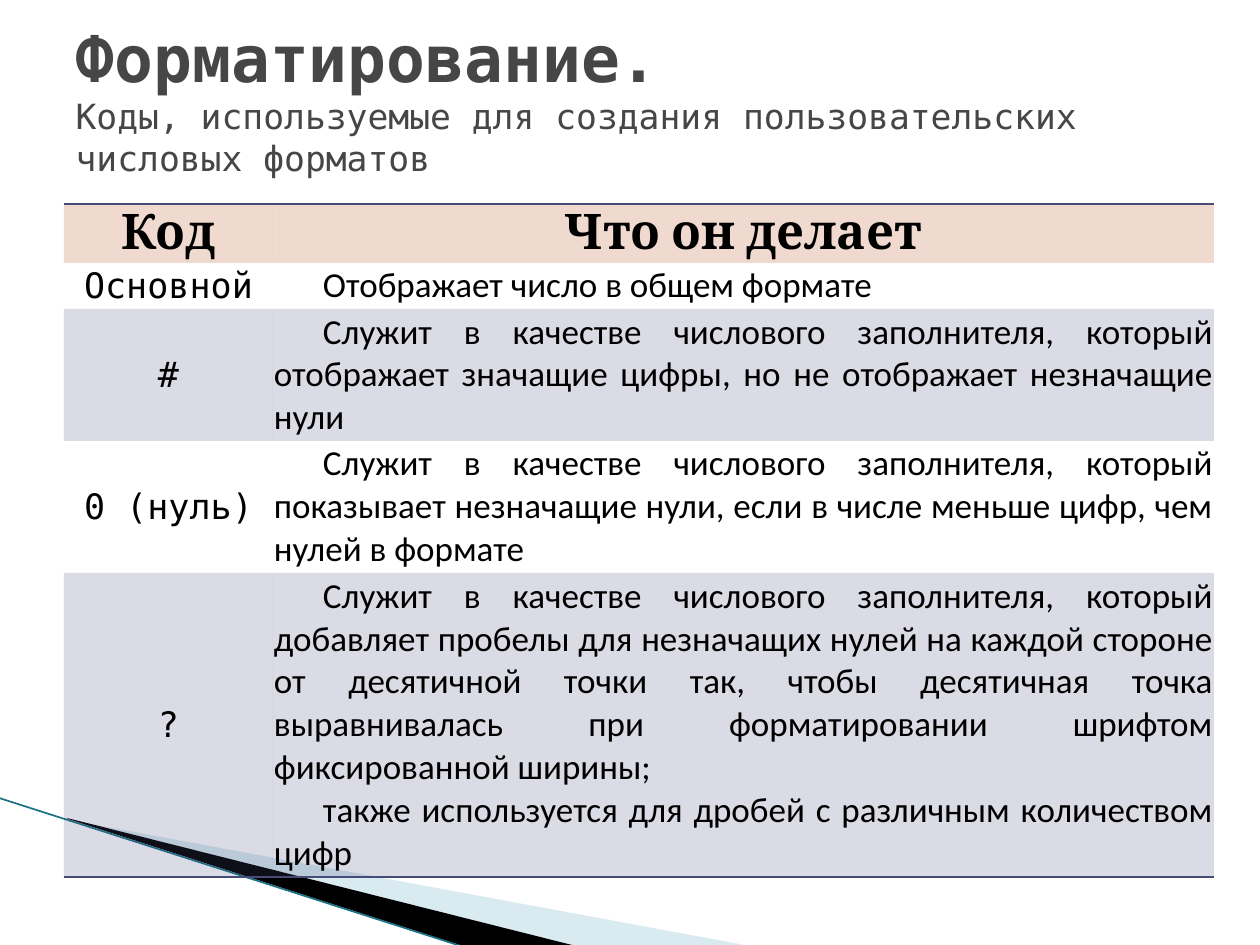
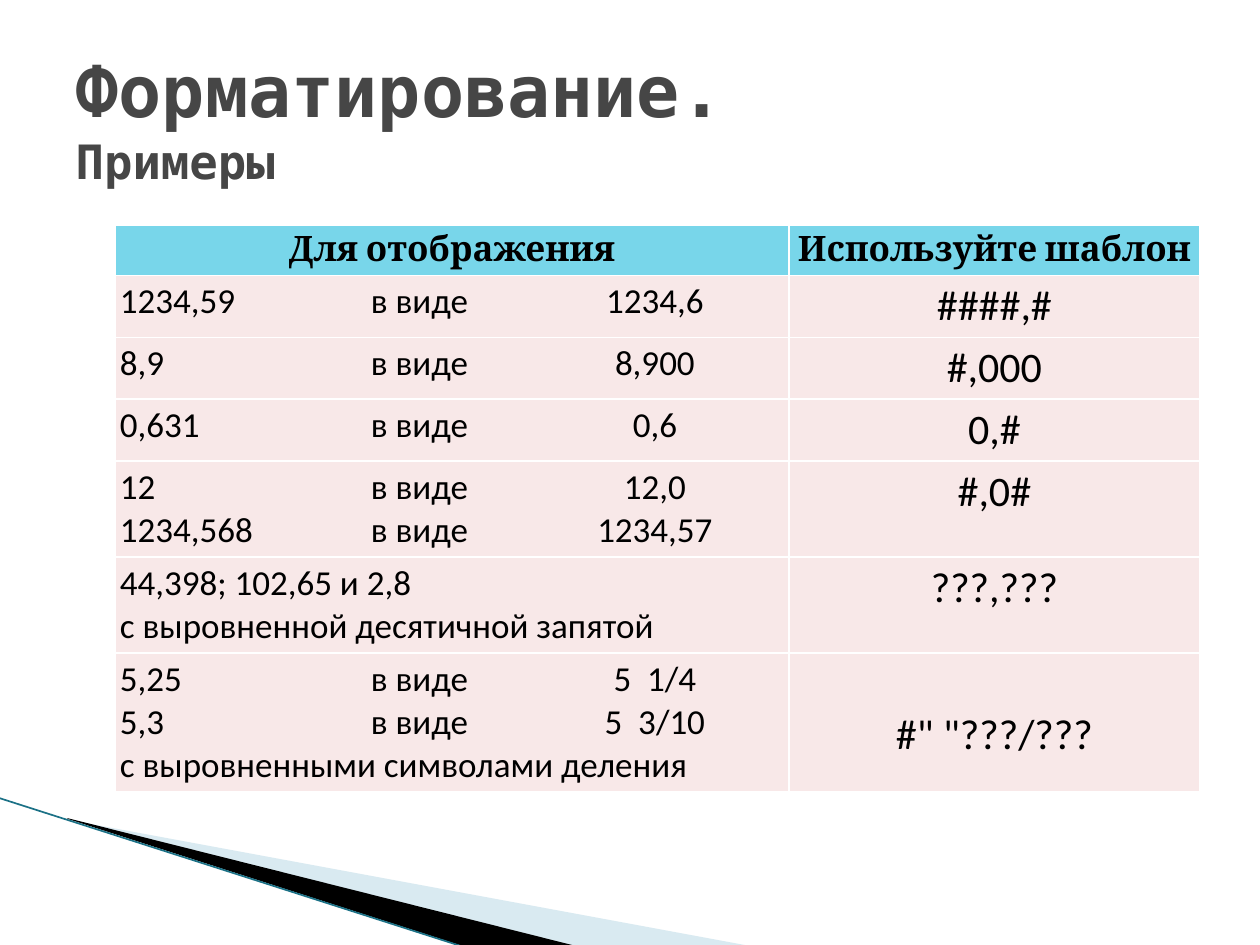
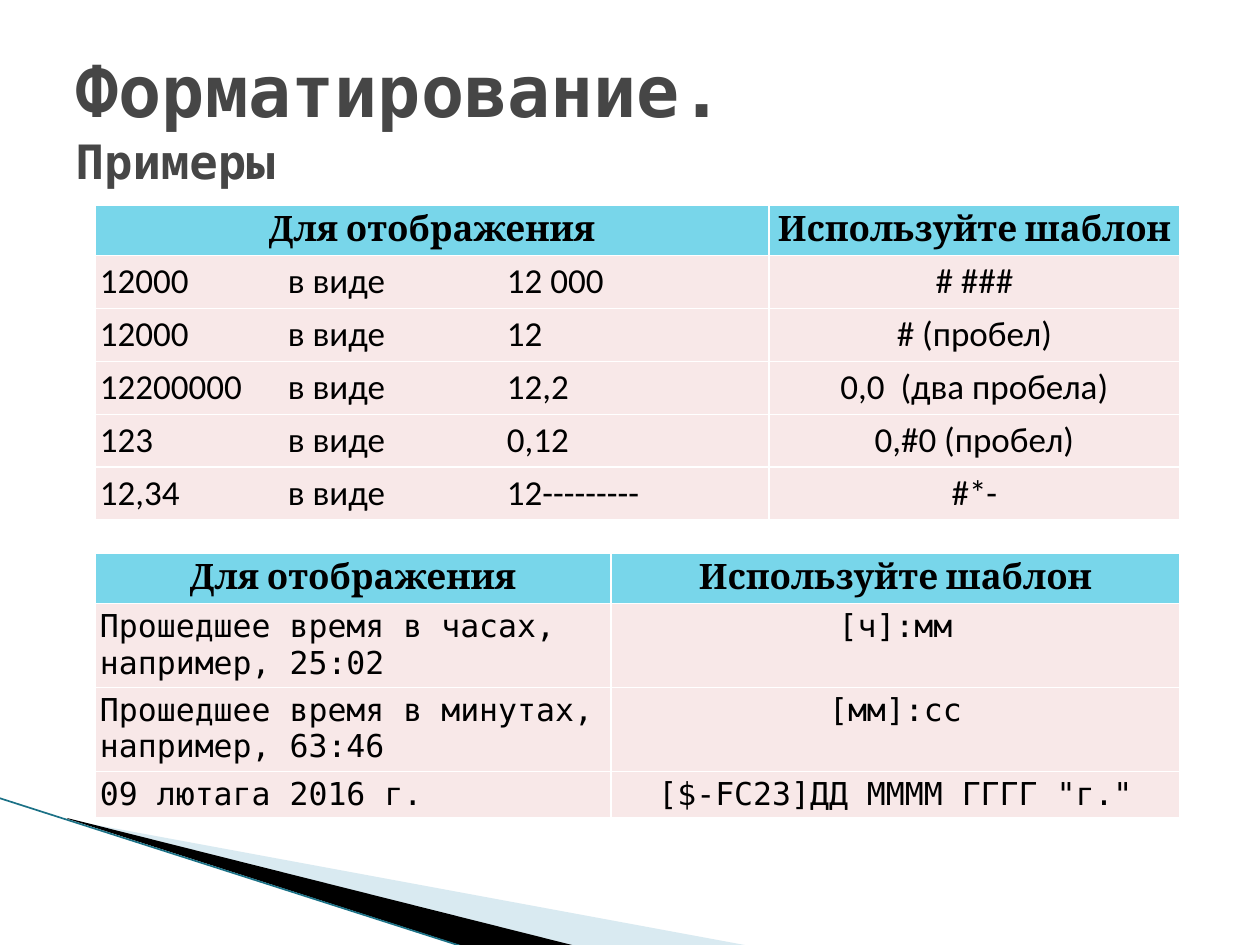
import pptx
import pptx.util
import pptx.dml.color
import pptx.enum.text
import pptx.enum.shapes
import pptx.oxml
import pptx.oxml.ns
import lxml.etree

RGB = pptx.dml.color.RGBColor
ALIGN = pptx.enum.text.PP_ALIGN
ANCHOR = pptx.enum.text.MSO_ANCHOR
qn = pptx.oxml.ns.qn

GREY = RGB(0x46, 0x46, 0x46)
BLACK = RGB(0, 0, 0)
WHITE = RGB(0xFF, 0xFF, 0xFF)
TEAL = RGB(0x1B, 0x71, 0x86)
PALE_BLUE = RGB(0xA0, 0xCB, 0xDC)
RUST = RGB(0xB5, 0x4A, 0x10)
INDIGO = RGB(0x47, 0x4B, 0x78)
CYAN = RGB(0x78, 0xD6, 0xEA)
PINK = RGB(0xF8, 0xE8, 0xE8)

MONO, SANS, SERIF = "DejaVu Sans Mono", "Calibri", "Cambria"
NO_STYLE = "{2D5ABB26-0587-4C30-8999-92F81FD0307C}"
PX = 914400 / 126

HEADING = "Форматирование."
EXAMPLES = [(HEADING, 41, True), ("Примеры", 27, True)]
EXAMPLE_HEADER = ("Для отображения", "Используйте шаблон")

CODES = dict(
    left=64, top=204, cols=(209, 941), heights=(59, 46, 132, 132, 304),
    look="codes", head_size=28, fonts=(MONO, SANS), sizes=(20, 20), tabs=(),
    rows=[
        ("Код", "Что он делает"),
        ("Основной", "Отображает число в общем формате"),
        ("#", "Служит в качестве числового заполнителя, который отображает "
              "значащие цифры, но не отображает незначащие нули"),
        ("0 (нуль)", "Служит в качестве числового заполнителя, который показывает "
                     "незначащие нули, если в числе меньше цифр, чем нулей в формате"),
        ("?", "Служит в качестве числового заполнителя, который добавляет пробелы "
              "для незначащих нулей на каждой стороне от десятичной точки так, чтобы "
              "десятичная точка выравнивалась при форматировании шрифтом "
              "фиксированной ширины;\n"
              "также используется для дробей с различным количеством цифр"),
    ])

NUMBERS = dict(
    left=115, top=225, cols=(674, 411), heights=(50, 62, 62, 62, 96, 96, 139),
    look="examples", head_size=20, fonts=(SANS, SANS), sizes=(20, 24),
    tabs=((251, "l"), (535, "ctr")),
    rows=[
        EXAMPLE_HEADER,
        ("1234,59\tв виде\t1234,6", "####,#"),
        ("8,9\tв виде\t8,900", "#,000"),
        ("0,631\tв виде\t0,6", "0,#"),
        ("12\tв виде\t12,0\n1234,568\tв виде\t1234,57", "#,0#"),
        ("44,398; 102,65 и 2,8\nс выровненной десятичной запятой", "???,???"),
        ("5,25\tв виде\t5  1/4\n5,3\tв виде\t5  3/10\n"
         "с выровненными символами деления", '#" "???/???'),
    ],
    drop=56)

THOUSANDS = dict(
    left=95, top=205, cols=(674, 411), heights=(50,) + (53,) * 5,
    look="examples", head_size=20, fonts=(SANS, SANS), sizes=(20, 20),
    tabs=((188, "l"), (407, "l")),
    rows=[
        EXAMPLE_HEADER,
        ("12000\tв виде\t12 000", "# ###"),
        ("12000\tв виде\t12", "# (пробел)"),
        ("12200000\tв виде\t12,2", "0,0  (два пробела)"),
        ("123\tв виде\t0,12", "0,#0 (пробел)"),
        ("12,34\tв виде\t12---------", "#*-"),
    ])

TIMES = dict(
    left=95, top=553, cols=(516, 569), heights=(50, 84, 84, 46),
    look="examples", head_size=20, fonts=(MONO, MONO), sizes=(18, 18), tabs=(),
    rows=[
        EXAMPLE_HEADER,
        ("Прошедшее время в часах,\nнапример, 25:02", "[ч]:мм"),
        ("Прошедшее время в минутах,\nнапример, 63:46", "[мм]:сс"),
        ("09 лютага 2016 г.", '[$-FC23]ДД ММММ ГГГГ "г."'),
    ])

SLIDES = [
    dict(title=[(HEADING, 36.9, True),
                ("Коды, используемые для создания пользовательских числовых форматов",
                 19.8, False)],
         lift=38, tables=[CODES]),
    dict(title=EXAMPLES, lift=0, tables=[NUMBERS]),
    dict(title=EXAMPLES, lift=0, tables=[THOUSANDS, TIMES]),
]

LOOKS = {
    "codes": dict(inset=1, anchor=ANCHOR.MIDDLE, text_col=1, indent=49,
                  head=(RUST, 20), bands=(None, (INDIGO, 20))),
    "examples": dict(inset=5, anchor=ANCHOR.TOP, text_col=0, indent=0,
                     head=(CYAN, 100), bands=((PINK, 100),) * 2),
}

WEDGES = [
    (PALE_BLUE, 40, [(69, 820), (750, 946), (575, 946), (69, 819)]),
    (BLACK, 100, [(67, 818), (576, 946), (469, 948), (68, 819)]),
]
EDGE = (-1, 798, 467, 948)


def px(n):
    return round(n * PX)


def assign(obj, values):
    for name, value in values.items():
        setattr(obj, name, value)


def paint(fill, color, alpha, holder):
    fill.solid()
    fill.fore_color.rgb = color
    if alpha < 100:
        clr = holder.find(".//" + qn("a:srgbClr"))
        lxml.etree.SubElement(clr, qn("a:alpha"), val=str(alpha * 1000))


def add_run(p, text, font, size, bold, color):
    r = p.add_run()
    r.text = text
    assign(r.font, dict(name=font, size=pptx.util.Pt(size), bold=bold))
    r.font.color.rgb = color


def add_decor(slide, layout):
    tree = layout.shapes.element
    for color, alpha, points in WEDGES:
        fb = slide.shapes.build_freeform(*points[0], scale=PX)
        fb.add_line_segments(points[1:], close=True)
        sp = fb.convert_to_shape()
        sp.shadow.inherit = False
        sp.line.fill.background()
        paint(sp.fill, color, alpha, sp.element.spPr)
        tree.append(sp.element)
    edge = slide.shapes.add_connector(
        pptx.enum.shapes.MSO_CONNECTOR.STRAIGHT, *map(px, EDGE))
    assign(edge.line, dict(width=pptx.util.Pt(0.95)))
    edge.line.color.rgb = TEAL
    lxml.etree.SubElement(edge.element.spPr, qn("a:effectLst"))
    tree.append(edge.element)


def add_title(slide, lines, lift):
    sp = slide.shapes.title
    assign(sp, dict(left=px(63), top=px(38), width=px(1134), height=px(158)))
    tf = sp.text_frame
    assign(tf, dict(word_wrap=True, vertical_anchor=ANCHOR.MIDDLE,
                    auto_size=pptx.enum.text.MSO_AUTO_SIZE.NONE,
                    margin_bottom=px(6 + lift)))
    p = tf.paragraphs[0]
    p.alignment = ALIGN.LEFT
    for i, (text, size, bold) in enumerate(lines):
        if i:
            p.add_line_break()
        add_run(p, text, MONO, size, bold, GREY)


def set_borders(cell, sides):
    tcPr = cell._tc.get_or_add_tcPr()
    for i, (side, color) in enumerate(sides):
        tcPr.insert(i, pptx.oxml.parse_xml(
            f'<a:ln{side} {pptx.oxml.ns.nsdecls("a")} w="12700"><a:solidFill>'
            f'<a:srgbClr val="{color}"/></a:solidFill></a:ln{side}>'))


def set_layout(p, indent, tabs):
    pPr = p._p.get_or_add_pPr()
    if indent:
        pPr.set("marL", "0")
        pPr.set("indent", str(px(indent)))
    if tabs:
        tab_list = lxml.etree.SubElement(pPr, qn("a:tabLst"))
        for pos, kind in tabs:
            lxml.etree.SubElement(tab_list, qn("a:tab"), pos=str(px(pos)), algn=kind)


def fill_cell(cell, text, row, col, t):
    look = LOOKS[t["look"]]
    last = len(t["rows"]) - 1
    head = row == 0
    body_text = not head and col == look["text_col"]
    inset = px(look["inset"])
    assign(cell, dict(margin_left=inset, margin_right=inset, margin_top=inset,
                      margin_bottom=inset, vertical_anchor=look["anchor"]))
    if row == last and col == 1 and "drop" in t:
        cell.margin_top = px(t["drop"])
    band = look["head"] if head else look["bands"][(row - 1) % 2]
    if band:
        paint(cell.fill, *band, cell._tc.tcPr)
    else:
        cell.fill.background()
    if t["look"] == "examples":
        set_borders(cell, [(side, WHITE) for side in "LRTB"])
    elif row in (0, last):
        set_borders(cell, [("T" if head else "B", INDIGO)])
    font, size = (SERIF, t["head_size"]) if head else (t["fonts"][col], t["sizes"][col])
    tf = cell.text_frame
    for i, line in enumerate(text.split("\n")):
        p = tf.add_paragraph() if i else tf.paragraphs[0]
        p.alignment = ALIGN.JUSTIFY if body_text else ALIGN.CENTER
        if body_text:
            set_layout(p, look["indent"], t["tabs"] if "\t" in line else ())
        add_run(p, line, font, size, head, BLACK)


def add_code_table(slide, t):
    gf = slide.shapes.add_table(
        len(t["rows"]), len(t["cols"]), px(t["left"]), px(t["top"]),
        px(sum(t["cols"])), px(sum(t["heights"])))
    gf.element.find(".//" + qn("a:tableStyleId")).text = NO_STYLE
    table = gf.table
    assign(table, dict(first_row=False, horz_banding=False))
    for column, width in zip(table.columns, t["cols"]):
        column.width = px(width)
    for row, height in zip(table.rows, t["heights"]):
        row.height = px(height)
    for i, texts in enumerate(t["rows"]):
        for j, text in enumerate(texts):
            fill_cell(table.cell(i, j), text, i, j, t)


def main():
    prs = pptx.Presentation()
    assign(prs, dict(slide_width=px(1260), slide_height=px(945)))
    layout = prs.slide_layouts[5]
    for i, content in enumerate(SLIDES):
        slide = prs.slides.add_slide(layout)
        if i == 0:
            add_decor(slide, layout)
        add_title(slide, content["title"], content["lift"])
        for t in content["tables"]:
            add_code_table(slide, t)
    prs.save("out.pptx")


if __name__ == "__main__":
    main()
